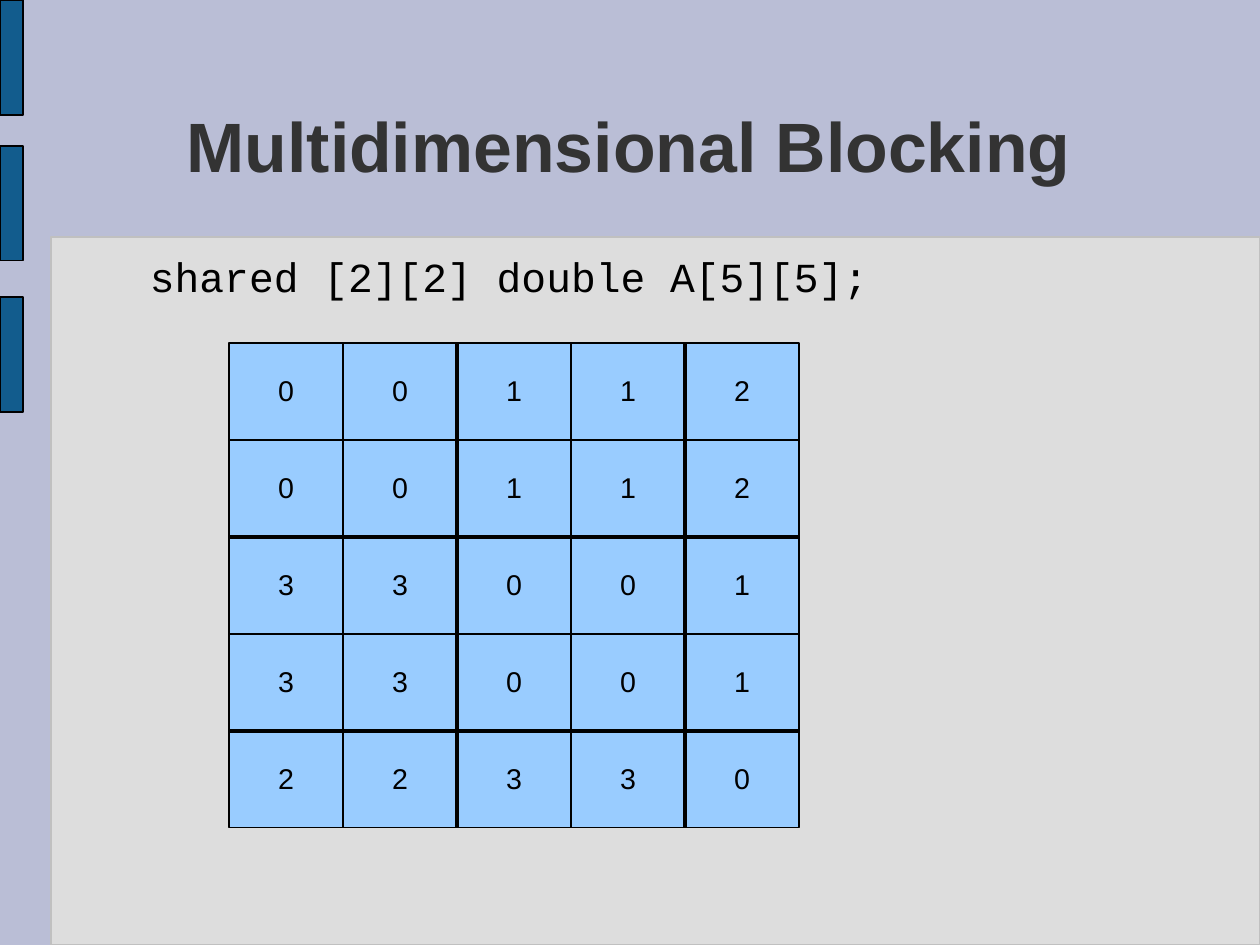
from dataclasses import dataclass

from lxml import etree
from pptx import Presentation
from pptx.dml.color import RGBColor
from pptx.enum.shapes import MSO_CONNECTOR, MSO_SHAPE
from pptx.enum.text import MSO_ANCHOR, MSO_AUTO_SIZE, PP_ALIGN
from pptx.oxml.ns import qn
from pptx.util import Emu, Pt

RECTANGLE = MSO_SHAPE.RECTANGLE
STRAIGHT = MSO_CONNECTOR.STRAIGHT
TOP, MIDDLE = MSO_ANCHOR.TOP, MSO_ANCHOR.MIDDLE
LEFT, CENTER = PP_ALIGN.LEFT, PP_ALIGN.CENTER
NO_AUTOFIT = MSO_AUTO_SIZE.NONE

EMU_PER_PX = 8000
SLIDE_WIDTH, SLIDE_HEIGHT = 1260, 945
TITLE_ONLY = 5

GRID_LEFT, GRID_TOP = 229, 343
CELL_WIDTH, CELL_HEIGHT = 114, 97
GRID_SIZE, BLOCK_SIZE, THREADS = 5, 2, 4
BLOCKS_PER_ROW = -(-GRID_SIZE // BLOCK_SIZE)


@dataclass(frozen=True)
class Theme:
    background: str = "BABED6"
    panel: str = "DDDDDD"
    panel_line: str = "C0C0C0"
    accent: str = "125C8D"
    cell: str = "99CCFF"
    ink: str = "000000"
    title: str = "333333"
    body_font: str = "Arial"
    code_font: str = "Courier New"
    title_size: float = 44
    code_size: float = 26
    cell_size: float = 18
    thin: float = 0.75
    thick: float = 2.89


def px(length):
    return Emu(length * EMU_PER_PX)


def rgb(value):
    return RGBColor.from_string(value)


class SlideBuilder:
    def __init__(self, slide, theme):
        self.slide = slide
        self.theme = theme
        slide.background.fill.solid()
        slide.background.fill.fore_color.rgb = rgb(theme.background)

    def set_text(self, shape, text, font, size, color, alignment=CENTER,
                 anchor=MIDDLE, spacing=0.93, bold=False):
        frame = shape.text_frame
        frame.word_wrap = True
        frame.auto_size = NO_AUTOFIT
        frame.vertical_anchor = anchor
        frame.margin_left = frame.margin_right = 0
        frame.margin_top = frame.margin_bottom = 0
        frame.text = text
        paragraph = frame.paragraphs[0]
        paragraph.alignment = alignment
        paragraph.line_spacing = spacing
        paragraph.space_before = Pt(0)
        paragraph.font.name = font
        paragraph.font.size = Pt(size)
        paragraph.font.bold = bold
        paragraph.font.color.rgb = rgb(color)

    def title(self, text, left, top, width, height):
        shape = self.slide.shapes.title
        shape.left, shape.top = px(left), px(top)
        shape.width, shape.height = px(width), px(height)
        self.set_text(shape, text, self.theme.body_font,
                      self.theme.title_size, self.theme.title, bold=True)

    def code(self, text, left, top, width, height):
        shape = self.slide.shapes.add_textbox(
            px(left), px(top), px(width), px(height))
        self.set_text(shape, text, self.theme.code_font,
                      self.theme.code_size, self.theme.ink, LEFT, TOP, 0.89)

    def rectangle(self, left, top, width, height, fill, line):
        shape = self.slide.shapes.add_shape(
            RECTANGLE, px(left), px(top), px(width), px(height))
        shape.shadow.inherit = False
        shape.fill.solid()
        shape.fill.fore_color.rgb = rgb(fill)
        shape.line.color.rgb = rgb(line)
        shape.line.width = Pt(self.theme.thin)
        return shape

    def cell(self, text, left, top):
        shape = self.rectangle(left, top, CELL_WIDTH, CELL_HEIGHT,
                               self.theme.cell, self.theme.ink)
        self.set_text(shape, text, self.theme.body_font,
                      self.theme.cell_size, self.theme.ink)

    def block_border(self, start_x, start_y, end_x, end_y):
        connector = self.slide.shapes.add_connector(
            STRAIGHT, px(start_x), px(start_y), px(end_x), px(end_y))
        connector.line.color.rgb = rgb(self.theme.ink)
        connector.line.width = Pt(self.theme.thick)
        properties = connector._element.spPr
        etree.SubElement(properties, qn("a:effectLst"))

    def block_grid(self):
        """Draw the array, each cell labelled with its owning thread."""
        for row in range(GRID_SIZE):
            for column in range(GRID_SIZE):
                block = (row // BLOCK_SIZE * BLOCKS_PER_ROW
                         + column // BLOCK_SIZE)
                self.cell(str(block % THREADS),
                          GRID_LEFT + column * CELL_WIDTH,
                          GRID_TOP + row * CELL_HEIGHT)

        right = GRID_LEFT + GRID_SIZE * CELL_WIDTH
        bottom = GRID_TOP + GRID_SIZE * CELL_HEIGHT
        edges = range(BLOCK_SIZE, GRID_SIZE, BLOCK_SIZE)
        for edge in edges:
            x = GRID_LEFT + edge * CELL_WIDTH
            self.block_border(x, GRID_TOP, x, bottom)
        for edge in edges:
            y = GRID_TOP + edge * CELL_HEIGHT
            self.block_border(GRID_LEFT, y, right, y)


def main():
    presentation = Presentation()
    presentation.slide_width = px(SLIDE_WIDTH)
    presentation.slide_height = px(SLIDE_HEIGHT)
    slide = presentation.slides.add_slide(
        presentation.slide_layouts[TITLE_ONLY])
    theme = Theme()
    builder = SlideBuilder(slide, theme)

    builder.rectangle(51, 237, 1209, 708, theme.panel, theme.panel_line)
    for top in (0, 146, 297):
        builder.rectangle(0, top, 23, 115, theme.accent, theme.ink)
    builder.title("Multidimensional Blocking", 92, 70, 1075, 158)
    builder.code("shared [2][2] double A[5][5];", 150, 257, 1018, 50)
    builder.block_grid()

    presentation.save("out.pptx")


if __name__ == "__main__":
    main()
